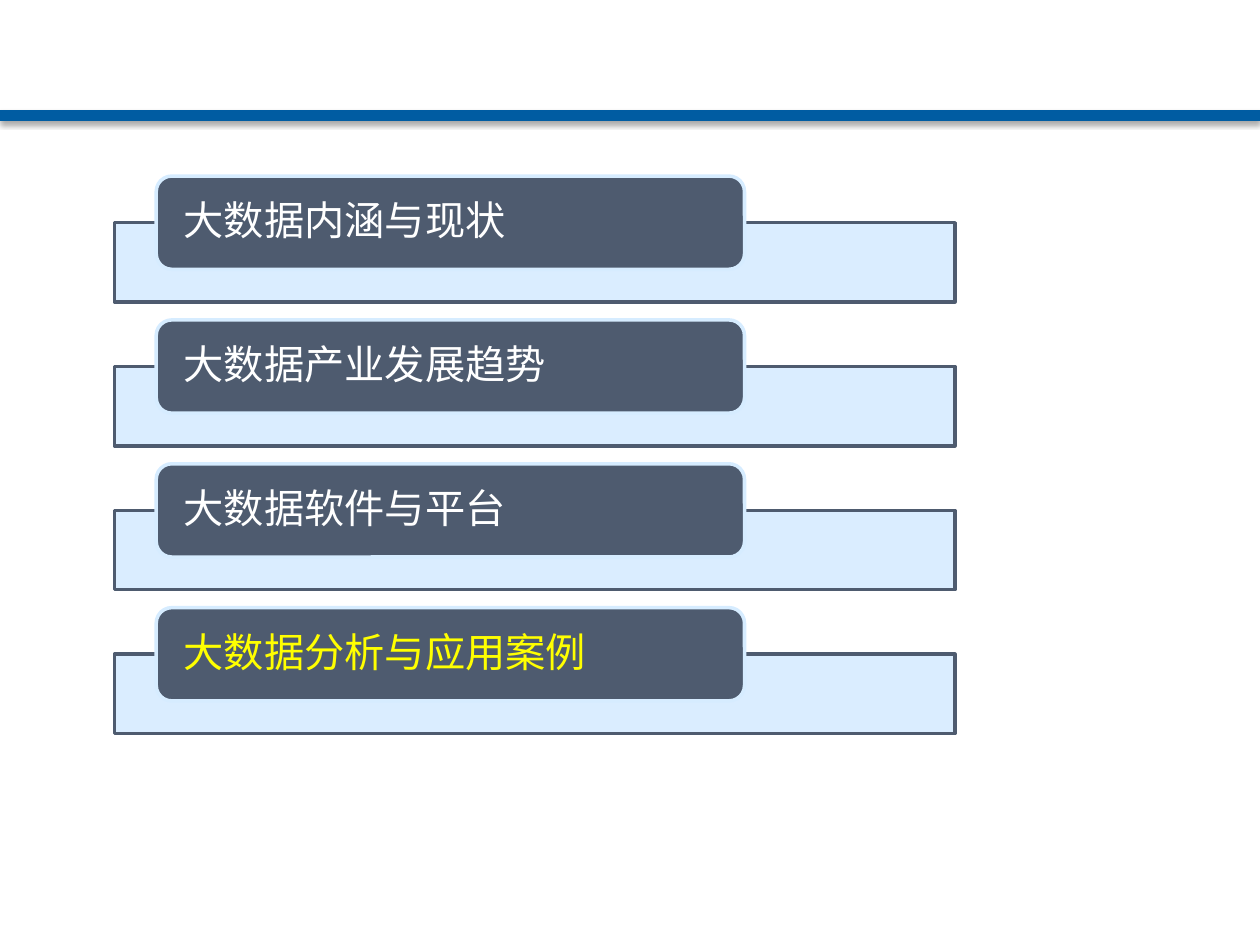
"""Build an agenda slide of four overlapping topic bars under a blue rule."""
from dataclasses import dataclass

from lxml import etree
from pptx import Presentation, util as u
from pptx.dml.color import RGBColor
from pptx.enum import shapes, text
from pptx.oxml import parse_xml
from pptx.oxml.ns import nsdecls, qn


@dataclass(frozen=True)
class Theme:
    rule: str = "005CA2"
    dark: str = "4E5B6F"
    pale: str = "D6ECFF"
    plain: str = "FFFFFF"
    mark: str = "FFFF00"
    font: str = "Arial"
    size: float = 23
    edge: float = 2
    thick: float = 6


def write(frame, words, *, font, size, color, space=0.9, after=8):
    frame.word_wrap = True
    frame.vertical_anchor = text.MSO_ANCHOR.MIDDLE
    frame.margin_left = frame.margin_right = u.Cm(0.46)
    frame.margin_top = frame.margin_bottom = 0
    para = frame.paragraphs[0]
    para.alignment = text.PP_ALIGN.LEFT
    para.line_spacing = space
    para.space_after = u.Pt(after)
    run = para.add_run()
    run.text = words
    run.font.name = font
    run.font.size = u.Pt(size)
    run.font.color.rgb = RGBColor.from_string(color)


class Deck:
    def __init__(self, slide, theme):
        self.slide = slide
        self.theme = theme

    def rule(self, top, width):
        line = self.slide.shapes.add_connector(
            shapes.MSO_CONNECTOR.STRAIGHT, 0, u.Cm(top), u.Cm(width), u.Cm(top))
        line.line.color.rgb = RGBColor.from_string(self.theme.rule)
        line.line.width = u.Pt(self.theme.thick)
        line._element.spPr.append(parse_xml(
            f'<a:effectLst {nsdecls("a")}>'
            '<a:outerShdw blurRad="40000" dist="23000" dir="5400000" rotWithShape="0">'
            '<a:srgbClr val="000000"><a:alpha val="35000"/></a:srgbClr>'
            '</a:outerShdw></a:effectLst>'))

    def block(self, kind, area, fill, edge):
        shape = self.slide.shapes.add_shape(kind, *map(u.Cm, area))
        shape.shadow.inherit = False
        shape.fill.solid()
        shape.fill.fore_color.rgb = RGBColor.from_string(fill)
        shape.line.color.rgb = RGBColor.from_string(edge)
        shape.line.width = u.Pt(self.theme.edge)
        return shape

    def bar(self, area):
        look = self.theme
        shape = self.block(shapes.MSO_SHAPE.RECTANGLE, area, look.pale, look.dark)
        tint = shape._element.spPr.find(qn("a:solidFill"))[0]
        etree.SubElement(tint, qn("a:alpha")).set("val", "90000")

    def label(self, area, words, color):
        look = self.theme
        shape = self.block(
            shapes.MSO_SHAPE.ROUNDED_RECTANGLE, area, look.dark, look.pale)
        write(shape.text_frame, words, font=look.font, size=look.size, color=color)


def main():
    show = Presentation()
    show.slide_width, show.slide_height = u.Cm(25.4), u.Cm(19.05)
    theme = Theme()
    deck = Deck(show.slides.add_slide(show.slide_layouts[6]), theme)
    deck.rule(2.33, 25.4)
    topics = [
        ("大数据内涵与现状", theme.plain),
        ("大数据产业发展趋势", theme.plain),
        ("大数据软件与平台", theme.plain),
        ("大数据分析与应用案例", theme.mark),
    ]
    first, pitch, drop = 3.55, 2.9, 0.94
    for row, (words, color) in enumerate(topics):
        top = first + row * pitch
        deck.bar((2.31, top + drop, 16.94, 1.6))
        deck.label((3.15, top, 11.86, 1.88), words, color)
    show.save("out.pptx")


if __name__ == "__main__":
    main()
